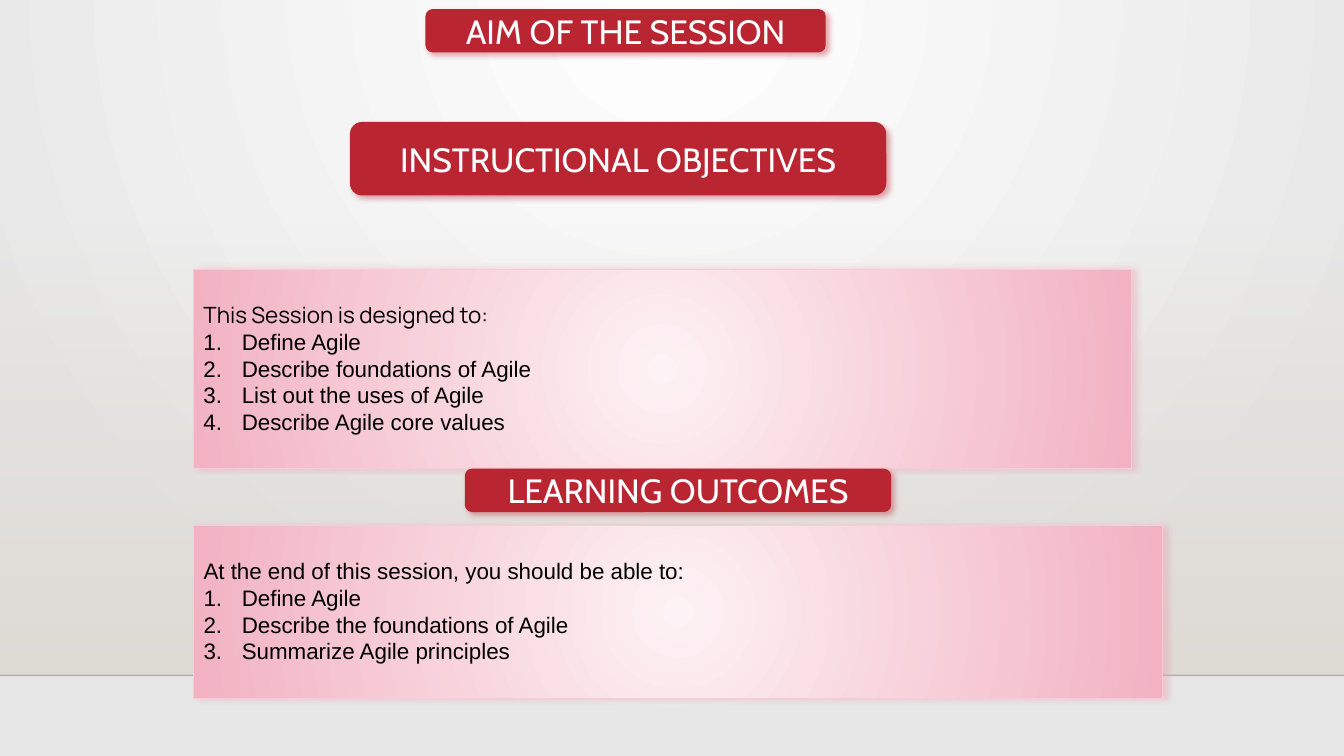
from lxml.etree import SubElement, fromstring
from pptx import Presentation
from pptx.dml.color import RGBColor
from pptx.enum.shapes import MSO_CONNECTOR as Connector, MSO_SHAPE as Shape
from pptx.enum.text import MSO_ANCHOR as Anchor, MSO_AUTO_SIZE as AutoSize, PP_ALIGN as Align
from pptx.oxml.ns import nsdecls, qn
from pptx.util import Inches, Pt

WIDTH, HEIGHT = 13.33, 7.5
WALL_TOP, FLOOR = 2.21, 6.7
LIST_LEFT, INDENT = 1.92, 0.38

RED, ROSE, ROSE_EDGE, ROSE_SHADOW = "BA2532", "F2B2C2", "F7CCD6", "EE99AD"
WALL = "DFDBD5"
TITLE_FORMAT = {"name": "Cabin", "size": Pt(24)}

# text, (left, top, width, height)
BANNERS = [
    ("AIM OF THE SESSION", (4.22, 0.09, 3.97, 0.43)),
    ("INSTRUCTIONAL OBJECTIVES", (3.47, 1.21, 5.32, 0.73)),
    ("LEARNING OUTCOMES", (4.61, 4.65, 4.23, 0.43)),
]
# introduction, its font, numbered items, (left, top, width, height)
LISTS = [
    ("This Session is designed to:", "Manrope",
     ["Define Agile", "Describe foundations of Agile", "List out the uses of Agile",
      "Describe Agile core values"],
     (LIST_LEFT, 2.67, 9.3, 1.98)),
    ("At the end of this session, you should be able to:", "Arial",
     ["Define Agile", "Describe the foundations of Agile", "Summarize Agile principles"],
     (LIST_LEFT, 5.21, 9.61, 1.72)),
]


def color(value):
    return RGBColor.from_string(value)


def set_gradient(owner, fill, start, end, center=None, start_alpha=100):
    """Blend two colours: around center (left, top, right, bottom in %), or downwards."""
    fill.gradient()
    old = next(owner.element.iter(qn("a:gradFill")))
    if center:
        sides = " ".join(f'{side}="{share * 1000}"' for side, share in zip("ltrb", center))
        direction = f'<a:path path="circle"><a:fillToRect {sides}/></a:path>'
    else:
        direction = '<a:lin ang="5400000" scaled="0"/>'
    new = fromstring(
        f'<a:gradFill {nsdecls("a")} rotWithShape="1"><a:gsLst>'
        f'<a:gs pos="0"><a:srgbClr val="{start}"><a:alpha val="{start_alpha * 1000}"/>'
        f'</a:srgbClr></a:gs><a:gs pos="100000"><a:srgbClr val="{end}"/></a:gs>'
        f'</a:gsLst>{direction}</a:gradFill>')
    old.getparent().replace(old, new)


def add_shadow(shape, value, angle):
    effects = shape.element.spPr.find(qn("a:effectLst"))
    shadow = SubElement(effects, qn("a:outerShdw"), blurRad=str(Pt(4)), dist=str(Pt(3)),
                        dir=str(angle * 60000), algn="ctr", rotWithShape="0")
    tint = SubElement(shadow, qn("a:srgbClr"), val=value)
    SubElement(tint, qn("a:alpha"), val="40000")


def add_box(slide, kind, box):
    shape = slide.shapes.add_shape(kind, *map(Inches, box))
    shape.shadow.inherit = False
    shape.line.fill.background()
    return shape


def write(paragraph, text, value, font_format):
    paragraph.add_run().text = text
    font = paragraph.runs[0].font
    font.color.rgb = color(value)
    for name, setting in font_format.items():
        setattr(font, name, setting)


def add_backdrop(slide):
    set_gradient(slide, slide.background.fill, "FFFFFF", "E7E7E7", (43, 0, 43, 100))
    wall = add_box(slide, Shape.RECTANGLE, (0, WALL_TOP, WIDTH, FLOOR - WALL_TOP))
    set_gradient(wall, wall.fill, WALL, WALL, start_alpha=0)
    line = slide.shapes.add_connector(
        Connector.STRAIGHT, *map(Inches, (0, FLOOR, WIDTH, FLOOR)))
    line.line.color.rgb = color("000001")
    line.line.width = Pt(1)
    tint = next(line.element.spPr.iter(qn("a:srgbClr")))
    SubElement(tint, qn("a:alpha"), val="20000")
    SubElement(line.element.spPr, qn("a:effectLst"))


def add_banner(slide, text, box):
    banner = add_box(slide, Shape.ROUNDED_RECTANGLE, box)
    banner.fill.solid()
    banner.fill.fore_color.rgb = color(RED)
    add_shadow(banner, RED, 45)
    frame = banner.text_frame
    frame.vertical_anchor = Anchor.MIDDLE
    frame.paragraphs[0].alignment = Align.CENTER
    write(frame.paragraphs[0], text, "FFFFFF", TITLE_FORMAT)


def add_list(slide, introduction, introduction_font, items, box):
    panel = add_box(slide, Shape.RECTANGLE, box)
    set_gradient(panel, panel.fill, "FDF2F5", ROSE, (50, 50, 50, 50))
    panel.line.color.rgb = color(ROSE_EDGE)
    panel.line.width = Pt(0.75)
    add_shadow(panel, ROSE_SHADOW, 0)
    frame = panel.text_frame
    frame.word_wrap = True
    frame.vertical_anchor = Anchor.TOP
    frame.auto_size = AutoSize.SHAPE_TO_FIT_TEXT
    first = frame.paragraphs[0]
    first.alignment = Align.LEFT
    first.line_spacing = 2.0
    write(first, introduction, "000000", {"name": introduction_font, "size": Pt(16)})
    for item in items:
        paragraph = frame.add_paragraph()
        paragraph.alignment = Align.LEFT
        properties = paragraph._p.get_or_add_pPr()
        properties.set("marL", str(Inches(INDENT)))
        properties.set("indent", str(-Inches(INDENT)))
        SubElement(properties, qn("a:buFont"), typeface="+mj-lt")
        SubElement(properties, qn("a:buAutoNum"), type="arabicPeriod")
        write(paragraph, item, "000000", {"name": "Arial", "size": Pt(16)})


def main():
    presentation = Presentation()
    presentation.slide_width, presentation.slide_height = Inches(WIDTH), Inches(HEIGHT)
    slide = presentation.slides.add_slide(presentation.slide_layouts[6])
    add_backdrop(slide)
    for content in LISTS:
        add_list(slide, *content)
    for content in BANNERS:
        add_banner(slide, *content)
    presentation.save("out.pptx")


if __name__ == "__main__":
    main()
